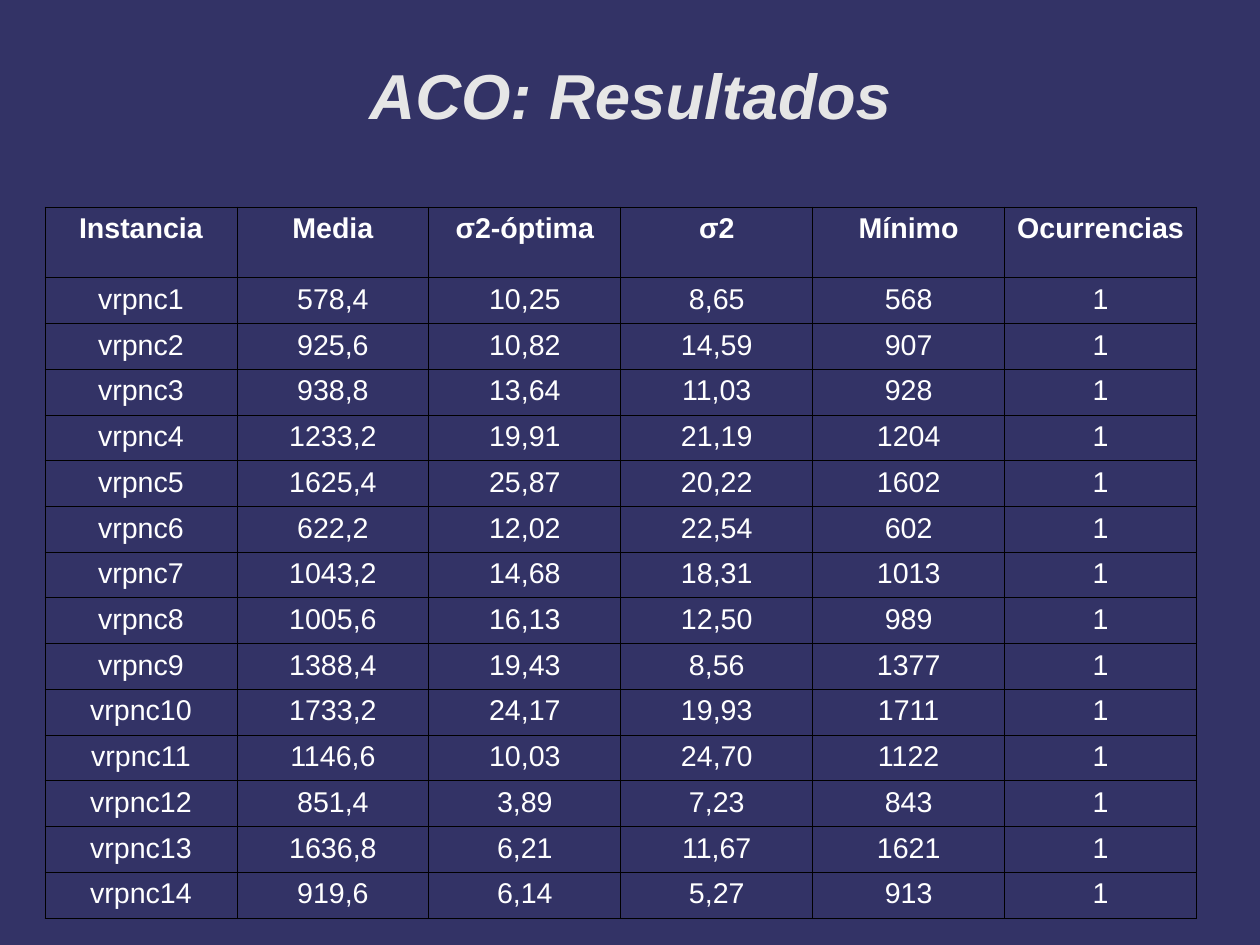
from lxml import etree
from pptx import Presentation
from pptx import util as u
from pptx.dml.color import RGBColor
from pptx.enum import text
from pptx.oxml.ns import qn

COLORS = {"background": "333366", "title": "E6E6E6", "text": "FFFFFF", "border": "000000"}
FONT = "Arial"
HEADERS = ["Instancia", "Media", "σ2-óptima", "σ2", "Mínimo", "Ocurrencias"]
# Media, σ2-óptima, σ2, Mínimo for vrpnc1 to vrpnc14
RESULTS = [
    ("578,4", "10,25", "8,65", "568"),
    ("925,6", "10,82", "14,59", "907"),
    ("938,8", "13,64", "11,03", "928"),
    ("1233,2", "19,91", "21,19", "1204"),
    ("1625,4", "25,87", "20,22", "1602"),
    ("622,2", "12,02", "22,54", "602"),
    ("1043,2", "14,68", "18,31", "1013"),
    ("1005,6", "16,13", "12,50", "989"),
    ("1388,4", "19,43", "8,56", "1377"),
    ("1733,2", "24,17", "19,93", "1711"),
    ("1146,6", "10,03", "24,70", "1122"),
    ("851,4", "3,89", "7,23", "843"),
    ("1636,8", "6,21", "11,67", "1621"),
    ("919,6", "6,14", "5,27", "913"),
]
TABLE_WIDTH = u.Cm(25.59)
HEADER_HEIGHT, ROW_HEIGHT = u.Inches(0.62), u.Inches(0.4)


def format_paragraph(paragraph, size, color, bold, italic=False):
    paragraph.alignment = text.PP_ALIGN.CENTER
    for run in paragraph.runs:
        run.font.name = FONT
        run.font.size = u.Pt(size)
        run.font.bold = bold
        run.font.italic = italic
        run.font.color.rgb = RGBColor.from_string(COLORS[color])


def add_borders(cell):
    properties = cell._tc.get_or_add_tcPr()
    for side in ("a:lnL", "a:lnR", "a:lnT", "a:lnB"):
        line = etree.SubElement(properties, qn(side), w=str(u.Pt(0.57)))
        fill = etree.SubElement(line, qn("a:solidFill"))
        etree.SubElement(fill, qn("a:srgbClr"), val=COLORS["border"])


# Slide and background
presentation = Presentation()
presentation.slide_width = u.Cm(28)
presentation.slide_height = u.Cm(21)
slide = presentation.slides.add_slide(presentation.slide_layouts[5])
slide.background.fill.solid()
slide.background.fill.fore_color.rgb = RGBColor.from_string(COLORS["background"])

# Title
title = slide.shapes.title
title.left, title.top = u.Inches(0.81), u.Inches(0.13)
title.width, title.height = u.Inches(9.41), u.Inches(1.38)
frame = title.text_frame
frame.text = "ACO: Resultados"
frame.vertical_anchor = text.MSO_ANCHOR.MIDDLE
frame.margin_left = frame.margin_right = frame.margin_top = frame.margin_bottom = 0
format_paragraph(frame.paragraphs[0], 40, "title", bold=True, italic=True)

# Results table
rows = [HEADERS] + [
    (f"vrpnc{number}", *values, "1") for number, values in enumerate(RESULTS, start=1)
]
table = slide.shapes.add_table(
    len(rows), len(HEADERS), u.Cm(1), u.Cm(4.6),
    TABLE_WIDTH, HEADER_HEIGHT + ROW_HEIGHT * len(RESULTS),
).table
table.first_row = table.horz_banding = False

for row_index, values in enumerate(rows):
    is_header = row_index == 0
    table.rows[row_index].height = HEADER_HEIGHT if is_header else ROW_HEIGHT
    for column_index, value in enumerate(values):
        cell = table.cell(row_index, column_index)
        cell.text_frame.text = value
        cell.margin_left = cell.margin_right = u.Inches(0.04)
        cell.margin_top = cell.margin_bottom = u.Inches(0.05)
        add_borders(cell)
        cell.fill.background()
        format_paragraph(cell.text_frame.paragraphs[0], 18, "text", bold=is_header)

presentation.save("out.pptx")
